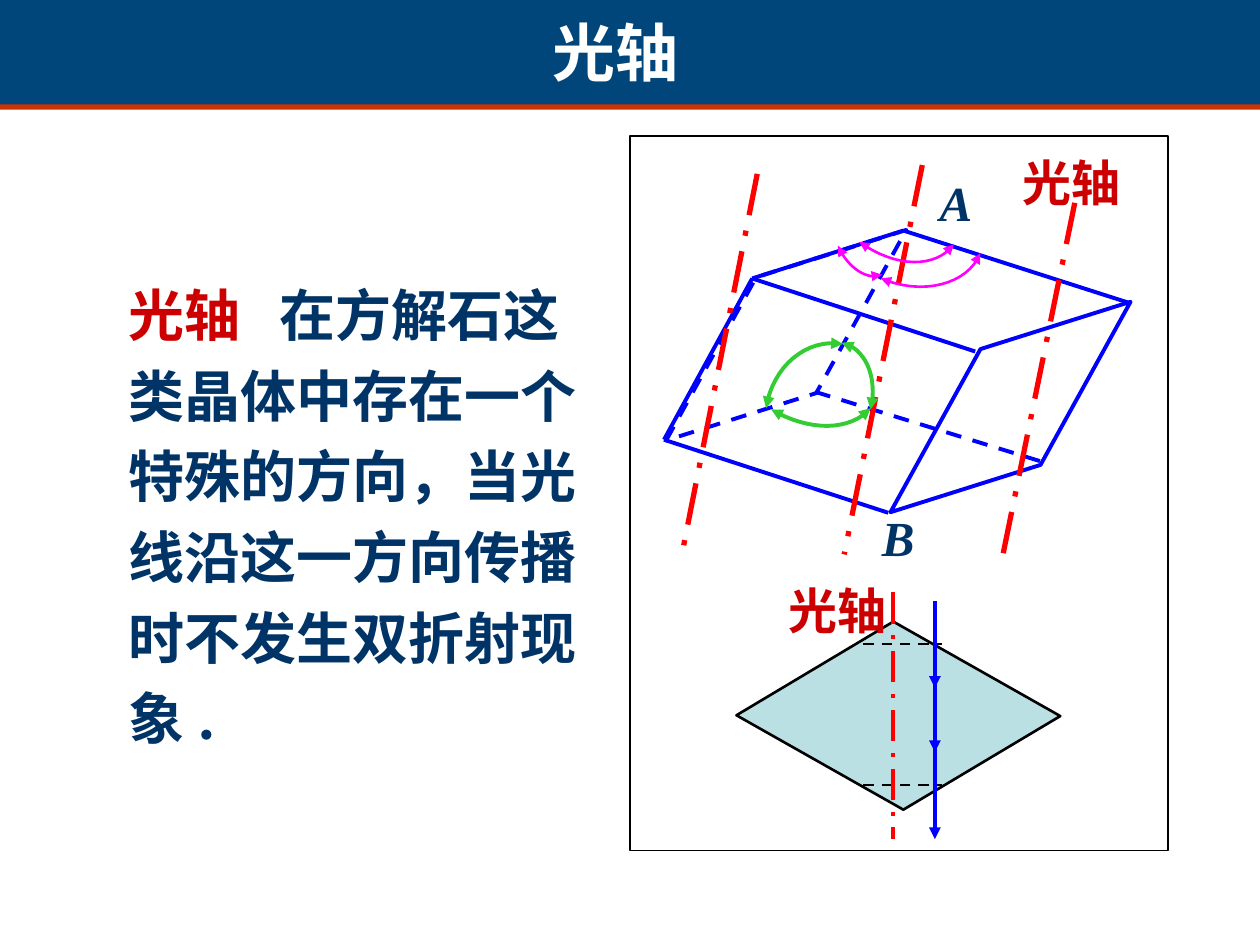
from lxml import etree
from pptx import Presentation
from pptx import util as u
from pptx.dml import color
from pptx.enum import dml, shapes, text
from pptx.oxml import ns

Inches = u.Inches
hues = {"navy": "00467A", "rust": "CC3300", "ink": "003366", "dark": "CC0000",
        "blue": "0000FF", "red": "FF0000", "green": "33CC33", "pink": "FF00FF",
        "pale": "BBE0E3", "black": "000000", "white": "FFFFFF"}
rgb = {name: color.RGBColor.from_string(code) for name, code in hues.items()}
dash = dml.MSO_LINE.DASH
chain = dml.MSO_LINE.LONG_DASH_DOT

deck = Presentation()
deck.slide_width, deck.slide_height = Inches(10), Inches(7.5)
slide = deck.slides.add_slide(deck.slide_layouts[6])
pen = slide.shapes


def write(words, box, size=28, font="Times New Roman", hue="dark", slant=None,
          wrap=True, lead=None, stop=None):
    frame = pen.add_textbox(*map(Inches, box)).text_frame
    frame.word_wrap = wrap
    para = frame.paragraphs[0]
    if stop:
        tabs = etree.SubElement(para._p.get_or_add_pPr(), ns.qn("a:tabLst"))
        etree.SubElement(tabs, ns.qn("a:tab"), pos=str(Inches(stop)), algn="l")
    if lead:
        para.line_spacing = lead
    for part, tint in words if isinstance(words, list) else [(words, hue)]:
        run = para.add_run()
        run.text = part
        run.font.size, run.font.name = u.Pt(size), font
        run.font.bold, run.font.italic = True, slant
        run.font.color.rgb = rgb[tint]


def style(item, hue=None, width=1, fill=None, dashed=None, ends=()):
    if item.shape_type == shapes.MSO_SHAPE_TYPE.LINE:
        etree.SubElement(item._element.spPr, ns.qn("a:effectLst"))
    else:
        item.shadow.inherit = False
        if fill:
            item.fill.solid()
            item.fill.fore_color.rgb = rgb[fill]
        else:
            item.fill.background()
    if not hue:
        item.line.fill.background()
        return
    item.line.color.rgb = rgb[hue]
    item.line.width = u.Pt(width)
    if dashed:
        item.line.dash_style = dashed
    for end in ends:
        etree.SubElement(item.line._get_or_add_ln(), ns.qn("a:" + end), type="triangle")


rect = shapes.MSO_SHAPE.RECTANGLE
slant = shapes.MSO_SHAPE.PARALLELOGRAM
for kind, box, turn, skew, look in [
    (rect, (0, 0.79, 10, 0.08), 0, None, {"fill": "rust"}),
    (rect, (0, 0, 10, 0.83), 0, None, {"fill": "navy"}),
    (rect, (5, 1.08, 4.27, 5.67), 0, None, {"hue": "black", "width": 0.75}),
    (slant, (6.01, 5.05, 2.24, 1.26), 29.5, 0.57,
     {"hue": "black", "width": 1.5, "fill": "pale"}),
    (slant, (5.08, 2.15, 2.32, 1.02), 342.5, 1.05,
     {"hue": "blue", "width": 2.25, "dashed": dash}),
    (slant, (6.86, 2.72, 2.32, 1.02), 342.5, 1.05, {"hue": "blue", "width": 2.25}),
]:
    shape = pen.add_shape(kind, *map(Inches, box))
    shape.rotation = turn
    if skew:
        shape.adjustments[0] = skew
    style(shape, **look)

edge = {"hue": "blue", "width": 2.25}
ray = {**edge, "ends": ["tailEnd"]}
cut = {"hue": "black", "width": 1.5, "dashed": dash}
axis = {"hue": "red", "width": 3, "dashed": chain}
for ax, ay, bx, by, look in [
    (6.85, 5.11, 7.48, 5.11, cut),
    (6.85, 6.23, 7.48, 6.23, cut),
    (7.42, 4.77, 7.42, 5.46, ray),
    (7.42, 5.29, 7.42, 5.97, ray),
    (7.42, 5.86, 7.42, 6.66, ray),
    (7.09, 4.7, 7.09, 6.66, {**axis, "width": 2.25}),
    (5.97, 2.21, 7.17, 1.83, edge),
    (5.97, 2.21, 7.74, 2.79, edge),
    (5.27, 3.49, 7.05, 4.07, edge),
    (7.17, 1.83, 8.95, 2.4, edge),
    (6.47, 3.11, 8.32, 3.68, {**edge, "dashed": dash}),
    (5.97, 2.21, 5.27, 3.49, edge),
    (7.32, 1.31, 6.7, 4.4, axis),
    (6.01, 1.38, 5.42, 4.36, axis),
    (8.53, 1.61, 7.94, 4.5, axis),
]:
    line = pen.add_connector(shapes.MSO_CONNECTOR.STRAIGHT,
                             *map(Inches, (ax, ay, bx, by)))
    style(line, **look)

steps = 16
for hue, width, knots in [
    ("green", 2.25, [(6.91, 3.24), (6.75, 3.42), (6.43, 3.43), (6.12, 3.25)]),
    ("pink", 1.5, [(7.78, 2.01), (7.68, 2.26), (7.32, 2.35), (6.99, 2.21)]),
    ("pink", 1.5, [(7.57, 1.94), (7.43, 2.13), (7.11, 2.13), (6.82, 1.92)]),
    ("pink", 1.5, [(7, 2.18), (6.89, 2.23), (6.73, 2.13), (6.65, 1.95)]),
    ("green", 2.25, [(6.68, 2.72), (6.87, 2.76), (6.97, 3), (6.91, 3.25)]),
    ("green", 2.25, [(6.08, 3.24), (6.13, 2.91), (6.4, 2.68), (6.69, 2.73)]),
]:
    curve = []
    for step in range(steps + 1):
        t = step / steps
        mix = ((1 - t) ** 3, 3 * t * (1 - t) ** 2, 3 * t * t * (1 - t), t ** 3)
        curve.append([Inches(sum(m * k[i] for m, k in zip(mix, knots))) for i in (0, 1)])
    build = pen.build_freeform(*curve[0])
    build.add_line_segments(curve[1:], close=False)
    style(build.convert_to_shape(), hue, width, ends=["headEnd", "tailEnd"])

write("光轴", (4.29, 0.06, 1.2, 0.7), size=36, font="Arial", hue="white", wrap=False)
write([("光轴\t", "dark"),
       ("在方解石这类晶体中存在一个特殊的方向，当光线沿这一方向传播时不发生双折射现象 .", "ink")],
      (0.92, 2.07, 4, 3.93), size=32, font="TeX Gyre Bonum", lead=1.2, stop=1.2)
write("光轴", (6.16, 4.56, 1.55, 0.57))
write("光轴", (8.02, 1.16, 1.32, 0.57))
write("A", (7.36, 1.32, 0.64, 0.57), hue="ink", slant=True)
write("B", (6.9, 3.98, 0.46, 0.57), hue="ink", slant=True, wrap=False)

deck.save("out.pptx")
